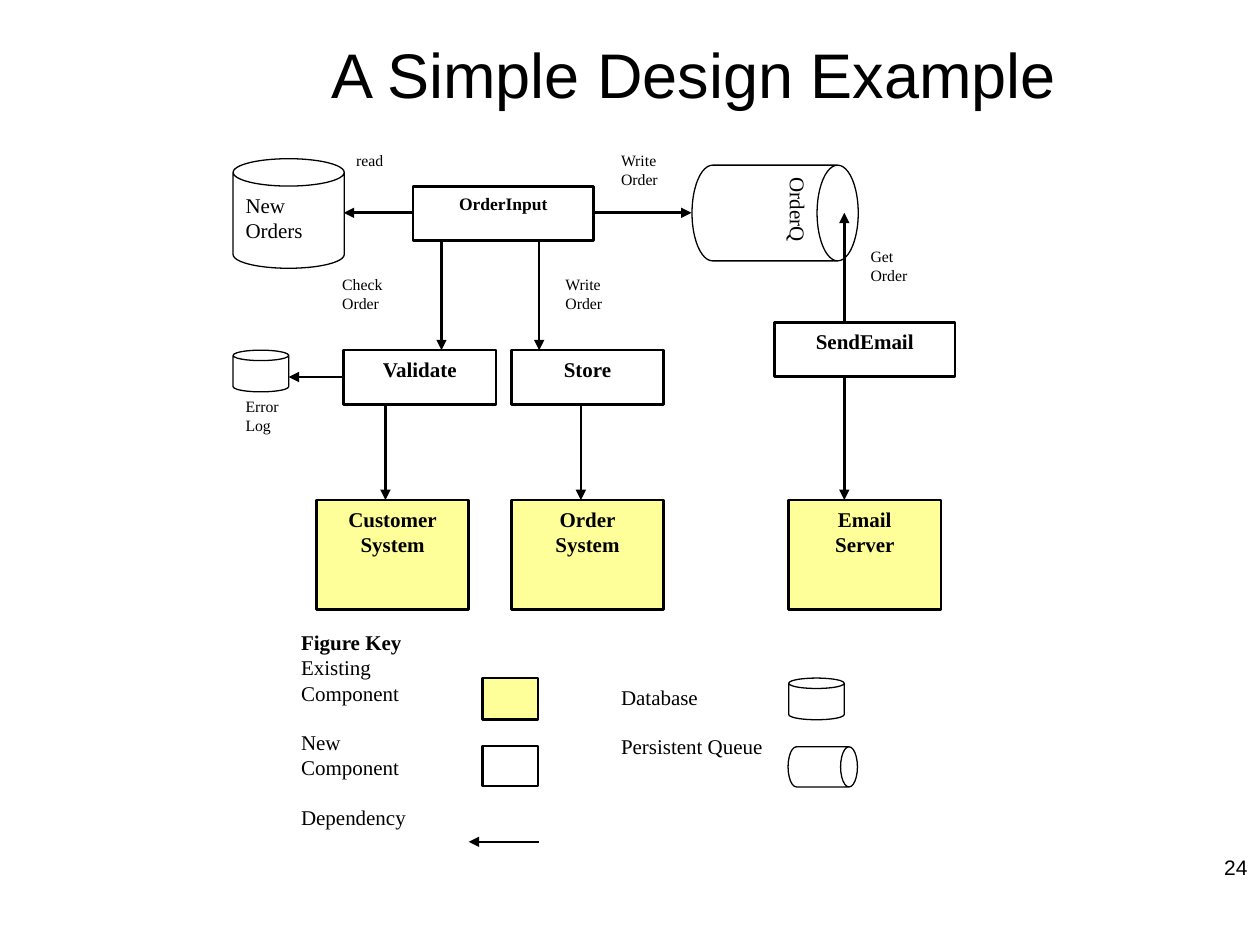
from lxml.etree import SubElement
from pptx import Presentation
from pptx.dml.color import RGBColor
from pptx.enum.shapes import MSO_CONNECTOR, MSO_SHAPE
from pptx.enum.text import MSO_ANCHOR, PP_ALIGN
from pptx.oxml.ns import qn
from pptx.util import Cm, Pt

COLORS = {"ink": "000000", "existing": "FFFF99", "store": "FFFFFF"}
SERIF, SANS = "Times New Roman", "Arial"
BLANK_LINE = Pt(14)

# Edges shared by the components and the arrows between them
INPUT_BOTTOM, MIDDLE_TOP, MIDDLE_BOTTOM = 4.85, 7.06, 8.15
SYSTEM_TOP, INPUT_MIDDLE, EMAIL_X = 10.08, 4.29, 17.02
BOX_WIDTH, WIDE_WIDTH, BOX_HEIGHT, SYSTEM_HEIGHT = 3.07, 3.63, 1.09, 2.21

NEW_COMPONENTS = [  # text, left, top, width, size
    ("OrderInput", 8.33, 3.76, WIDE_WIDTH, 10),
    ("Validate", 6.93, MIDDLE_TOP, BOX_WIDTH, 12),
    ("Store", 10.31, MIDDLE_TOP, BOX_WIDTH, 12),
    ("SendEmail", 15.62, 6.5, WIDE_WIDTH, 12),
]
EXISTING_SYSTEMS = [("Customer\nSystem", 6.38), ("Order\nSystem", 10.31),
                    ("Email\nServer", 15.9)]
CANS = [  # text, box before rotation, curvature, rotation
    ("New\nOrders", (4.7, 3.2, 2.24, 2.21), 0.25, 0),
    ("OrderQ", (14.66, 2.62, 1.93, 3.35), 0.43, 90),
    ("", (4.7, 7.06, 1.12, 0.84), 0.25, 0),
    ("", (15.9, 13.67, 1.12, 0.84), 0.25, 0),
    ("", (16.18, 14.76, 0.81, 1.4), 0.42, 90),
]
DEPENDENCIES = [  # start, end
    ((8.33, INPUT_MIDDLE), (6.93, INPUT_MIDDLE)),
    ((11.98, INPUT_MIDDLE), (13.94, INPUT_MIDDLE)),
    ((8.9, INPUT_BOTTOM), (8.9, MIDDLE_TOP)),
    ((10.87, INPUT_BOTTOM), (10.87, MIDDLE_TOP)),
    ((6.93, 7.6), (5.82, 7.6)),
    ((7.77, MIDDLE_BOTTOM), (7.77, SYSTEM_TOP)),
    ((11.71, MIDDLE_BOTTOM), (11.71, SYSTEM_TOP)),
    ((EMAIL_X, 6.5), (EMAIL_X, INPUT_MIDDLE)),
    ((EMAIL_X, 7.59), (EMAIL_X, SYSTEM_TOP)),
    ((10.87, 16.97), (9.45, 16.97)),
]
LABELS = [
    ("read", 6.93, 2.92), ("Write\nOrder", 12.27, 2.92),
    ("Check\nOrder", 6.65, 5.41), ("Write\nOrder", 11.15, 5.41),
    ("Get\nOrder", 17.3, 4.85), ("Error\nLog", 4.7, 7.87),
]


def color(name):
    return RGBColor.from_string(COLORS[name])


def write(frame, text, size, font=SERIF, align=PP_ALIGN.LEFT, bold=False,
          anchor=MSO_ANCHOR.TOP):
    frame.text = text
    frame.word_wrap = True
    frame.vertical_anchor = anchor
    for paragraph in frame.paragraphs:
        paragraph.alignment = align
        for run in paragraph.runs:
            run.font.size = Pt(size)
            run.font.name = font
            run.font.bold = bold
            run.font.color.rgb = color("ink")


def add_outlined(slide, preset, box, line_width, fill=None):
    shape = slide.shapes.add_shape(preset, *map(Cm, box))
    shape.shadow.inherit = False
    if fill:
        shape.fill.solid()
        shape.fill.fore_color.rgb = color(fill)
    else:
        shape.fill.background()
    shape.line.color.rgb = color("ink")
    shape.line.width = Pt(line_width)
    return shape


def add_component(slide, text, box, size=12, fill=None):
    component = add_outlined(slide, MSO_SHAPE.RECTANGLE, box, 1.5, fill)
    write(component.text_frame, text, size, align=PP_ALIGN.CENTER, bold=True)


def add_can(slide, text, box, curvature, rotation):
    can = add_outlined(slide, MSO_SHAPE.CAN, box, 0.75, "store")
    can.adjustments[0] = curvature
    can.rotation = rotation
    write(can.text_frame, text, 12)


def add_dependency(slide, start, end):
    """Draw a line with its arrowhead at the end point."""
    arrow = slide.shapes.add_connector(
        MSO_CONNECTOR.STRAIGHT, *map(Cm, start + end))
    arrow.line.color.rgb = color("ink")
    arrow.line.width = Pt(1.5)
    SubElement(arrow.line._get_or_add_ln(), qn("a:tailEnd"), type="triangle")
    SubElement(arrow._element.spPr, qn("a:effectLst"))


def add_text(slide, text, box, size, **style):
    frame = slide.shapes.add_textbox(*map(Cm, box)).text_frame
    write(frame, text, size, **style)
    return frame.paragraphs


def add_title(slide):
    title = slide.shapes.title
    title.left, title.top, title.width, title.height = map(
        Cm, (3.84, 0.13, 20.29, 2.69))
    write(title.text_frame, "A Simple Design Example", 36, SANS,
          PP_ALIGN.CENTER, anchor=MSO_ANCHOR.MIDDLE)


def add_figure_key(slide):
    components = add_text(
        slide, "Figure Key\nExisting Component\nNew\nComponent\nDependency",
        (5.82, 12.57, 3.35, 4.95), 12)
    components[0].runs[0].font.bold = True
    stores = add_text(slide, "Database\nPersistent Queue",
                      (12.27, 13.67, 3.4, 3.02), 12)
    for paragraph in (components[2], components[4], stores[1]):
        paragraph.space_before = BLANK_LINE
    add_component(slide, "", (9.73, 13.67, 1.12, 0.84), fill="existing")
    add_component(slide, "", (9.73, 15.04, 1.12, 0.81))


def main():
    presentation = Presentation()
    presentation.slide_width, presentation.slide_height = Cm(25.4), Cm(19.05)
    slide = presentation.slides.add_slide(presentation.slide_layouts[5])
    add_title(slide)
    add_text(slide, "24", (19.48, 16.97, 5.92, 1.02), 12, font=SANS,
             align=PP_ALIGN.RIGHT, anchor=MSO_ANCHOR.MIDDLE)
    for text, left, top, width, size in NEW_COMPONENTS:
        add_component(slide, text, (left, top, width, BOX_HEIGHT), size)
    for text, left in EXISTING_SYSTEMS:
        add_component(slide, text, (left, SYSTEM_TOP, BOX_WIDTH, SYSTEM_HEIGHT),
                      fill="existing")
    for can in CANS:
        add_can(slide, *can)
    add_figure_key(slide)
    for start, end in DEPENDENCIES:
        add_dependency(slide, start, end)
    for text, left, top in LABELS:
        add_text(slide, text, (left, top, 1.8, 1.37), 9)
    presentation.save("out.pptx")


if __name__ == "__main__":
    main()
